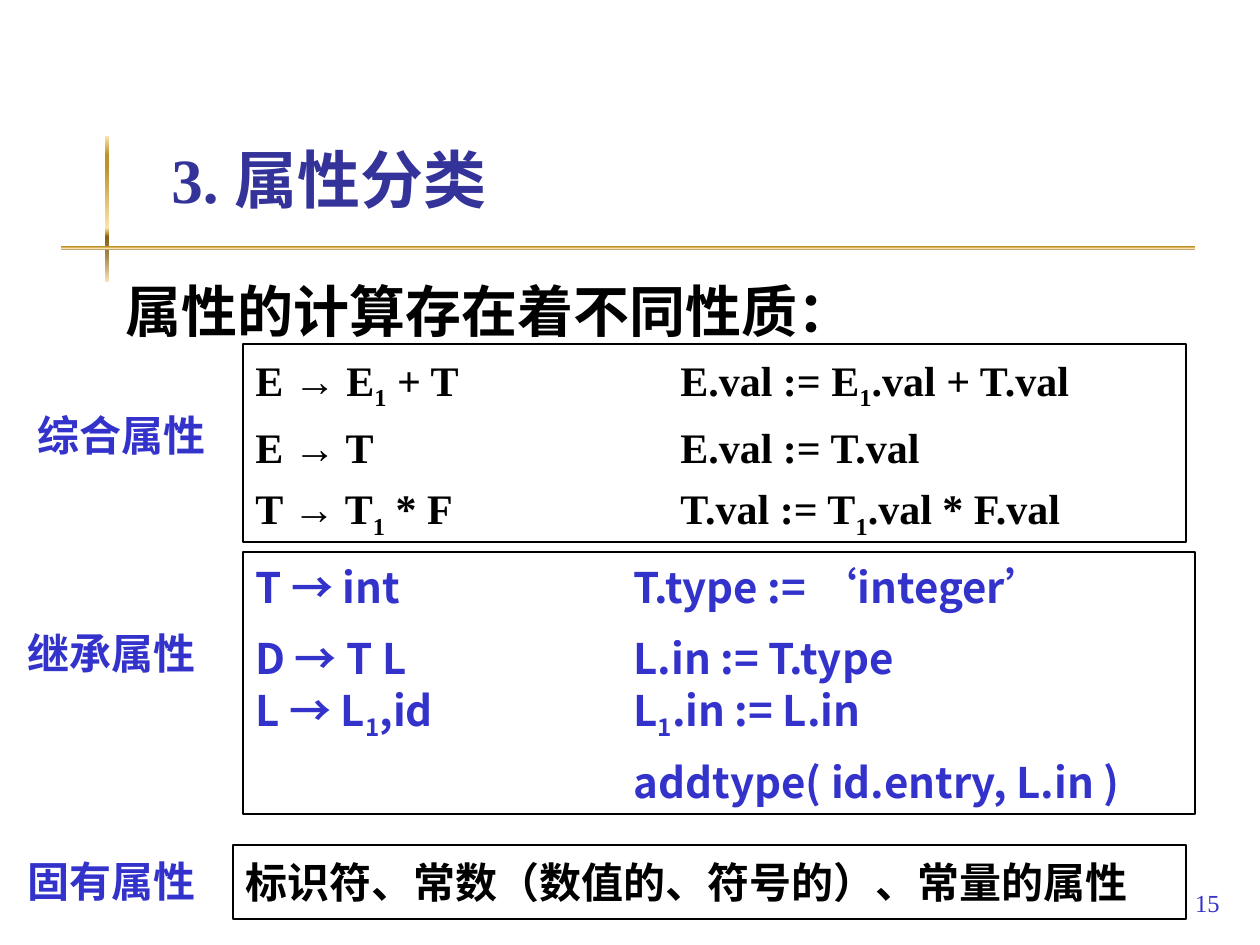
from lxml import etree
from pptx import Presentation
from pptx.dml.color import RGBColor
from pptx.enum.shapes import MSO_SHAPE
from pptx.enum.text import MSO_ANCHOR, PP_ALIGN
from pptx.oxml.ns import qn
from pptx.util import Pt

PX = 914400 / 126
RECTANGLE = MSO_SHAPE.RECTANGLE
TOP, MIDDLE, BOTTOM = MSO_ANCHOR.TOP, MSO_ANCHOR.MIDDLE, MSO_ANCHOR.BOTTOM
LEFT, RIGHT = PP_ALIGN.LEFT, PP_ALIGN.RIGHT
SERIF, SANS, SANS_JP = "Times New Roman", "Noto Sans CJK SC", "Noto Sans CJK JP"
BLACK, BLUE, NAVY = "000000", "3333CC", "333399"
GOLD = [(0, "FBE4AE"), (13, "BD922A"), (21, "BD922A"), (63, "FBE4AE"),
        (67, "BD922A"), (69, "835E17"), (82, "A28949"), (100, "FAE3B7")]


def px(*lengths):
    return [round(length * PX) for length in lengths]


def add_text(lines, at, font=SANS_JP, asian=None, size=24, color=BLUE, bold=True,
             align=LEFT, anchor=MIDDLE, border=None, tab=None, before=(),
             leading=None, inset=6, wrap=True):
    """Add a text box; "_" makes the next character a subscript."""
    box = page.shapes.add_textbox(*px(*at))
    if border:
        box.line.color.rgb = RGBColor.from_string(BLACK)
        box.line.width = Pt(border)
    frame = box.text_frame
    frame.word_wrap = wrap
    frame.vertical_anchor = anchor
    frame.margin_top = px(inset)[0]
    for i, line in enumerate(lines):
        para = frame.paragraphs[0] if i == 0 else frame.add_paragraph()
        para.alignment = align
        if leading:
            para.line_spacing = Pt(leading)
        if i and before:
            para.space_before = Pt(before[i - 1])
        if tab:
            stops = etree.SubElement(para._p.get_or_add_pPr(), qn("a:tabLst"))
            etree.SubElement(stops, qn("a:tab"), pos=str(px(tab)[0]), algn="l")
        first, *rest = line.split("_")
        pieces = [(first, False)]
        for part in rest:
            pieces += [(part[0], True), (part[1:], False)]
        for text, subscript in pieces:
            span = para.add_run()
            span.text = text
            span.font.name = font
            span.font.size = Pt(size)
            span.font.bold = bold
            span.font.color.rgb = RGBColor.from_string(color)
            props = span.font._element
            etree.SubElement(props, qn("a:ea"), typeface=asian or font)
            if subscript:
                props.set("baseline", "-25000")


deck = Presentation()
deck.slide_width, deck.slide_height = px(1260, 945)
page = deck.slides.add_slide(deck.slide_layouts[6])

# Gold cross bars behind the title
for at in [(105, 136, 4, 146), (61, 246, 1134, 4)]:
    bar = page.shapes.add_shape(RECTANGLE, *px(*at))
    bar.shadow.inherit = False
    bar.line.fill.background()
    bar.fill.gradient()
    bar.fill.gradient_angle = 270
    stops = bar._element.spPr.find(".//" + qn("a:gsLst"))
    stops.clear()
    for percent, color in GOLD:
        stop = etree.SubElement(stops, qn("a:gs"), pos=str(percent * 1000))
        etree.SubElement(stop, qn("a:srgbClr"), val=color)

add_text(["3. 属性分类"], (159, 125, 1074, 106), font=SERIF, asian=SANS,
         size=36, color=NAVY)
add_text(["属性的计算存在着不同性质："], (113, 267, 1124, 87), size=32, color=BLACK)

# Attribute kinds with their rules
for label, left, top in [("综合属性", 25, 403), ("继承属性", 15, 621), ("固有属性", 15, 849)]:
    add_text([label], (left, top, 205, 64), wrap=False)

add_text(["E → E_1 + T\tE.val := E_1.val + T.val",
          "E → T\tE.val := T.val",
          "T → T_1 * F\tT.val := T_1.val * F.val"],
         (243, 344, 943, 198), font=SERIF, color=BLACK, anchor=TOP,
         border=0.75, tab=425, before=(6, 6), inset=10)
add_text(["T → int\tT.type := ‘integer’",
          "D → T L\tL.in := T.type",
          "L → L_1,id\tL_1.in := L.in",
          "\taddtype( id.entry, L.in )"],
         (243, 552, 952, 262), font=SANS, anchor=TOP,
         border=1, tab=378, before=(12.5, 5.5, 9.5), leading=28, inset=11)
add_text(["标识符、常数（数值的、符号的）、常量的属性"], (233, 845, 953, 74),
         color=BLACK, border=0.75)

add_text(["15"], (970, 861, 262, 63), font=SERIF, size=14, bold=False,
         align=RIGHT, anchor=BOTTOM)

deck.save("out.pptx")
